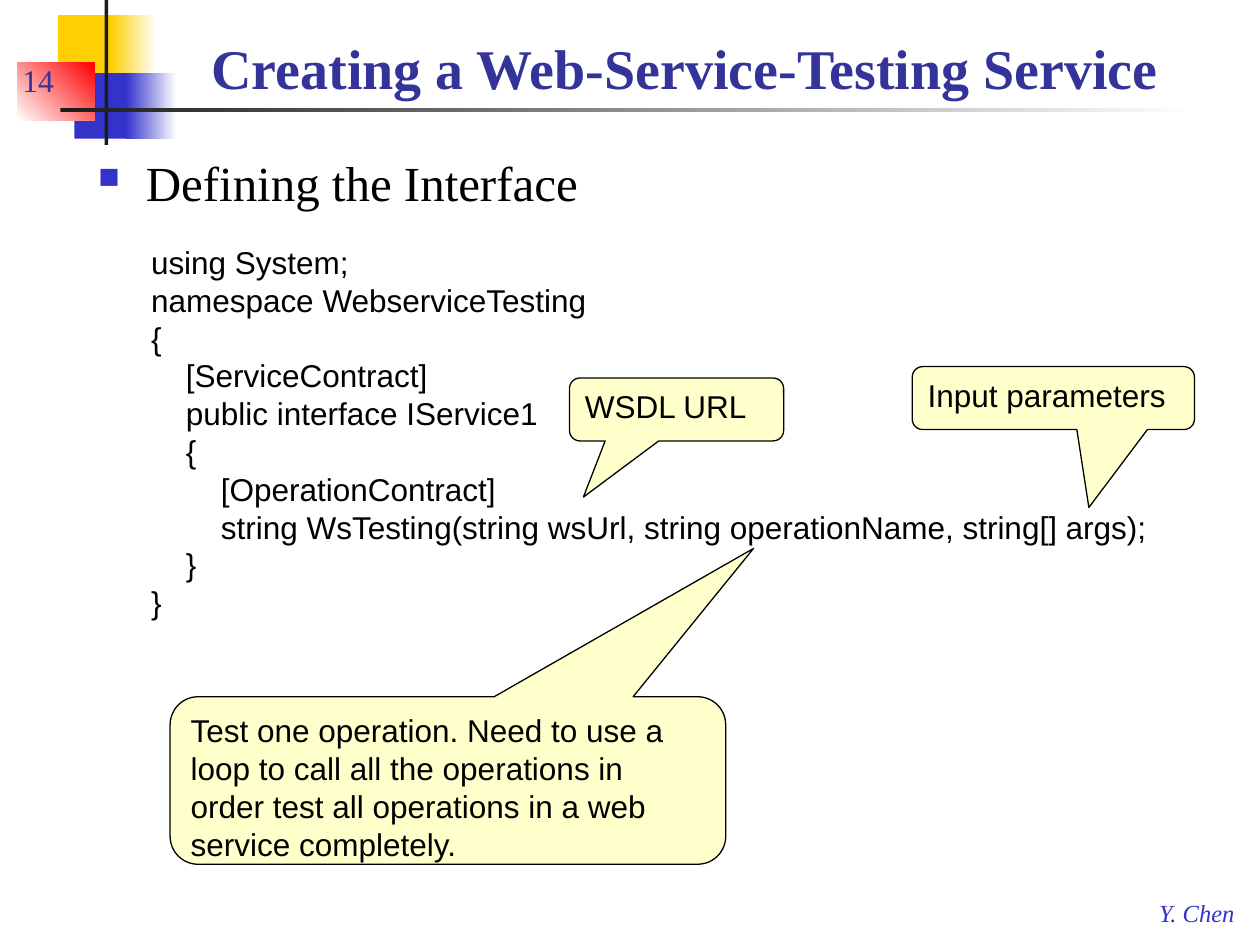
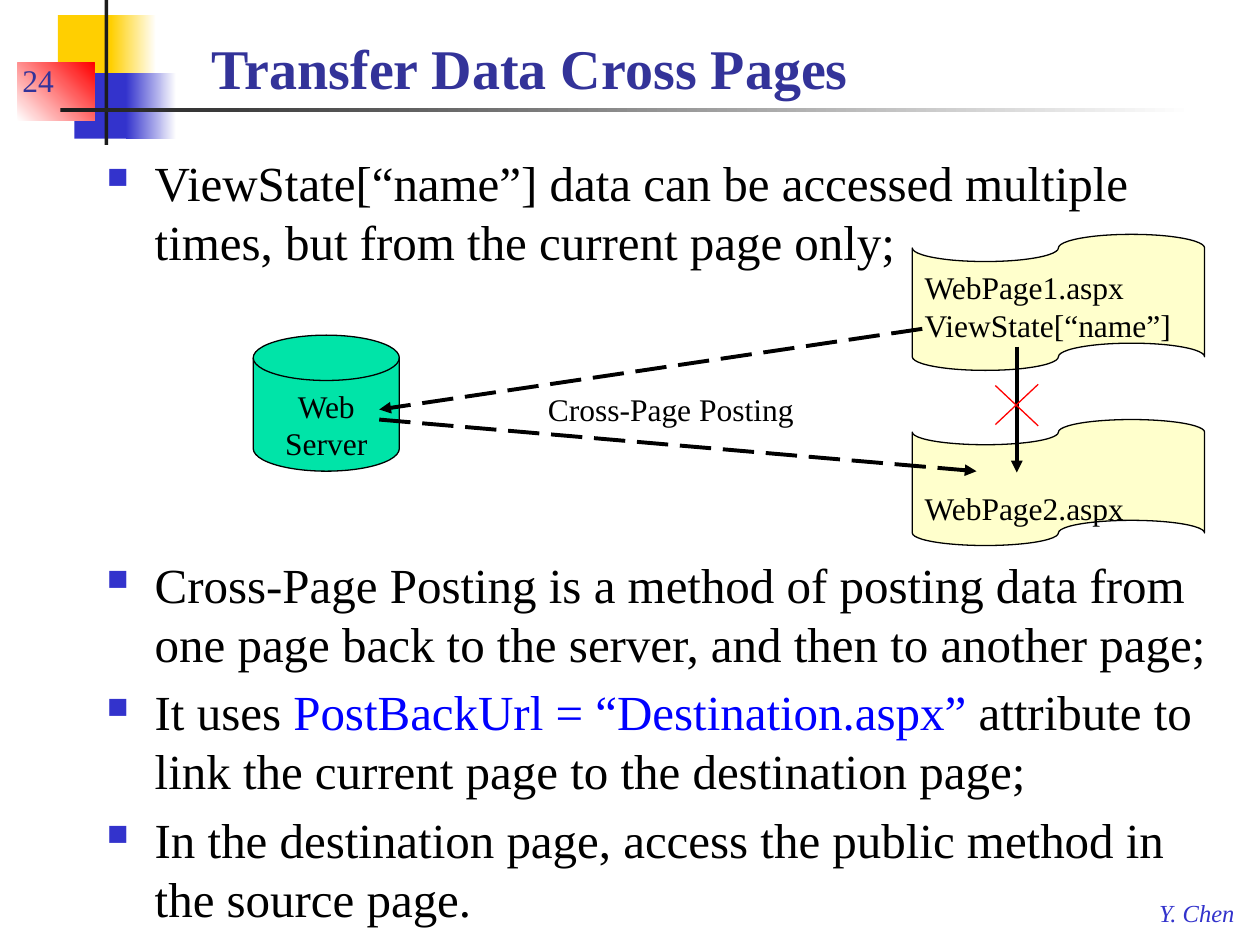
import lxml.etree
import pptx
import pptx.dml.color
import pptx.enum.dml
import pptx.enum.shapes
import pptx.enum.text
import pptx.oxml
import pptx.oxml.ns
import pptx.util

Inches = pptx.util.Inches
Pt = pptx.util.Pt
SHAPE = pptx.enum.shapes.MSO_SHAPE
ANCHOR = pptx.enum.text.MSO_ANCHOR
ALIGN = pptx.enum.text.PP_ALIGN

SERIF, SANS = "Times New Roman", "Arial"
COLORS = {
    "yellow": "FFCF01",
    "blue": "3333CC",
    "red": "FF0000",
    "white": "FFFFFF",
    "rule": "1C1C1C",
    "title": "333399",
    "text": "000000",
    "code": "0000FF",
    "note": "FFFFCC",
    "server": "00E4A8",
}
TITLE_BOX = (1.58, 0.17, 8.33, 0.68)
NUMBER_BOX = (0.08, 0.33, 0.67, 0.5)
FOOTER_BOX = (9.1, 7.08, 0.82, 0.33)
BULLET_INDENT = Inches(0.38)

INTERFACE_CODE = """using System;
namespace WebserviceTesting
{
    [ServiceContract]
    public interface IService1
    {
        [OperationContract]
        string WsTesting(string wsUrl, string operationName, string[] args);
    }
}"""


def rgb(name):
    return pptx.dml.color.RGBColor.from_string(COLORS[name])


def inches(box):
    return [Inches(length) for length in box]


def add_run(paragraph, text, size=18, font=SERIF, color="text", bold=False, italic=False):
    run = paragraph.add_run()
    run.text = text
    run.font.size = Pt(size)
    run.font.name = font
    run.font.color.rgb = rgb(color)
    run.font.bold = bold
    run.font.italic = italic


def fill_lines(frame, lines, align=ALIGN.LEFT, **style):
    """Write each line as its own paragraph."""
    for index, line in enumerate(lines):
        paragraph = frame.add_paragraph() if index else frame.paragraphs[0]
        paragraph.alignment = align
        add_run(paragraph, line, **style)


def add_text(slide, box, lines, anchor=ANCHOR.TOP, wrap=True, **style):
    frame = slide.shapes.add_textbox(*inches(box)).text_frame
    frame.word_wrap = wrap
    frame.vertical_anchor = anchor
    fill_lines(frame, lines, **style)


def add_block(slide, box, color, fade_to=None, angle=0):
    """Add a borderless rectangle, plain or fading to a second colour."""
    block = slide.shapes.add_shape(SHAPE.RECTANGLE, *inches(box))
    block.shadow.inherit = False
    block.line.fill.background()
    if fade_to is None:
        block.fill.solid()
        block.fill.fore_color.rgb = rgb(color)
    else:
        block.fill.gradient()
        block.fill.gradient_angle = angle
        for stop, name in zip(block.fill.gradient_stops, (color, fade_to)):
            stop.color.rgb = rgb(name)


def add_figure(slide, kind, box, color, lines, adjustments=(), **style):
    """Add an outlined preset shape with text from its top."""
    figure = slide.shapes.add_shape(kind, *inches(box))
    figure.shadow.inherit = False
    figure.fill.solid()
    figure.fill.fore_color.rgb = rgb(color)
    figure.line.color.rgb = rgb("text")
    figure.line.width = Pt(0.75)
    for index, value in enumerate(adjustments):
        figure.adjustments[index] = value
    figure.text_frame.word_wrap = True
    figure.text_frame.vertical_anchor = ANCHOR.TOP
    fill_lines(figure.text_frame, lines, **style)
    return figure


def add_line(slide, start, end, color="text", width=2.25, dashed=False, arrow=True):
    connector = slide.shapes.add_connector(
        pptx.enum.shapes.MSO_CONNECTOR.STRAIGHT, *inches((*start, *end)))
    connector.line.color.rgb = rgb(color)
    connector.line.width = Pt(width)
    if dashed:
        connector.line.dash_style = pptx.enum.dml.MSO_LINE.LONG_DASH
    qn = pptx.oxml.ns.qn
    properties = connector.line._get_or_add_ln()
    if arrow:
        lxml.etree.SubElement(properties, qn("a:tailEnd"), type="triangle")
    lxml.etree.SubElement(properties.getparent(), qn("a:effectLst"))


def set_bullet(paragraph):
    qn = pptx.oxml.ns.qn
    properties = paragraph._p.get_or_add_pPr()
    properties.set("marL", str(BULLET_INDENT))
    properties.set("indent", str(-BULLET_INDENT))
    color = lxml.etree.SubElement(properties, qn("a:buClr"))
    lxml.etree.SubElement(color, qn("a:srgbClr"), val=COLORS["blue"])
    lxml.etree.SubElement(properties, qn("a:buSzPct"), val="60000")
    lxml.etree.SubElement(properties, qn("a:buChar"), char="■")


def add_bullets(slide, box, items):
    """Each item is its space before in points and its (text, colour) runs."""
    frame = slide.shapes.add_textbox(*inches(box)).text_frame
    frame.word_wrap = True
    for index, (space, runs) in enumerate(items):
        paragraph = frame.add_paragraph() if index else frame.paragraphs[0]
        set_bullet(paragraph)
        paragraph.space_before = Pt(space)
        for text, color in runs:
            add_run(paragraph, text, size=28, color=color)


def add_corner_blocks(slide):
    add_block(slide, (0.46, 0.12, 0.48, 0.52), "yellow")
    add_block(slide, (0.88, 0.12, 0.36, 0.52), "yellow", "white")
    add_block(slide, (0.59, 0.58, 0.46, 0.52), "blue")
    add_block(slide, (1, 0.58, 0.4, 0.52), "blue", "white")
    add_block(slide, (0.14, 0.5, 0.61, 0.46), "white", "red", angle=45)
    add_block(slide, (0.83, 0, 0.03, 1.15), "rule")
    add_block(slide, (0.48, 0.86, 9, 0.03), "rule", "white")


def add_base_slide(deck, title, number):
    slide = deck.slides.add_slide(deck.slide_layouts[6])
    add_corner_blocks(slide)
    add_text(slide, FOOTER_BOX, ["Y. Chen"], wrap=False, size=14, color="blue", italic=True)
    add_text(slide, TITLE_BOX, [title], ANCHOR.BOTTOM, size=32, color="title", bold=True)
    add_text(slide, NUMBER_BOX, [str(number)], ANCHOR.BOTTOM, color="title")
    return slide


def add_code_with_notes(slide, box):
    left, top, width, height = box
    add_text(slide, box, INTERFACE_CODE.split("\n"), font=SANS)
    notes = [
        ((0.25, 3.65, 4.41, 1.33), (0.55, -1.385),
         "Test one operation. Need to use a loop to call all the operations in "
         "order test all operations in a web service completely."),
        ((3.42, 1.12, 1.7, 0.5), (-0.435, 1.392), "WSDL URL"),
        ((6.14, 1.03, 2.24, 0.5), (0.126, 1.737), "Input parameters"),
    ]
    for (x, y, w, h), pointer, text in notes:
        add_figure(slide, SHAPE.ROUNDED_RECTANGULAR_CALLOUT, (left + x, top + y, w, h),
                   "note", [text], (*pointer, 0.167), font=SANS)


def add_posting_diagram(slide, box):
    left, top, width, height = box
    page_width = 2.32
    page_left = left + width - page_width

    def at(x, y):
        return left + x, top + y

    add_figure(slide, SHAPE.FLOWCHART_MAGNETIC_DISK, (*at(0, 0.8), 1.16, 1.08),
               "server", ["Web Server"], align=ALIGN.CENTER)
    add_figure(slide, SHAPE.FLOWCHART_PUNCHED_TAPE, (page_left, top, page_width, 1.08),
               "note", ["WebPage1.aspx", "ViewState[“name”]"])
    target_page = add_figure(
        slide, SHAPE.FLOWCHART_PUNCHED_TAPE, (page_left, top + height - 1, page_width, 1),
        "note", ["WebPage2.aspx"])
    target_page.text_frame.margin_top = Inches(0.35)

    add_line(slide, at(6.06, 0.89), at(6.06, 1.89))
    for start_y, end_y in ((1.2, 1.52), (1.51, 1.19)):
        add_line(slide, at(5.89, start_y), at(6.23, end_y), "red", 0.75, arrow=False)
    add_line(slide, at(5.31, 0.75), at(1, 1.39), dashed=True)
    add_line(slide, at(1, 1.47), at(5.74, 1.88), dashed=True)
    add_text(slide, (*at(2.24, 1.19), 2.24, 0.4), ["Cross-Page Posting"], wrap=False)


def build_interface_slide(deck):
    slide = add_base_slide(deck, "Creating a Web-Service-Testing Service", 14)
    add_bullets(slide, (0.68, 1.16, 8.4, 0.76), [(0, [("Defining the Interface", "text")])])
    add_code_with_notes(slide, (1.1, 1.88, 8.55, 3.43))


def build_transfer_slide(deck):
    slide = add_base_slide(deck, "Transfer Data Cross Pages", 24)
    diagram_gap, bullet_gap = 162.5, 5.6
    add_bullets(slide, (0.75, 1.16, 9.04, 6.2), [
        (0, [("ViewState[“name”] data can be accessed multiple times, "
              "but from the current page only;", "text")]),
        (diagram_gap, [("Cross-Page Posting is a method of posting data from one page "
                        "back to the server, and then to another page;", "text")]),
        (bullet_gap, [("It uses ", "text"),
                      ("PostBackUrl = “Destination.aspx” ", "code"),
                      ("attribute to link the current page to the destination page;", "text")]),
        (bullet_gap, [("In the destination page, access the public method in "
                       "the source page.", "text")]),
    ])
    add_posting_diagram(slide, (2.01, 1.86, 7.55, 2.47))


def main():
    deck = pptx.Presentation()
    deck.slide_width, deck.slide_height = Inches(10), Inches(7.5)
    build_interface_slide(deck)
    build_transfer_slide(deck)
    deck.save("out.pptx")


if __name__ == "__main__":
    main()
